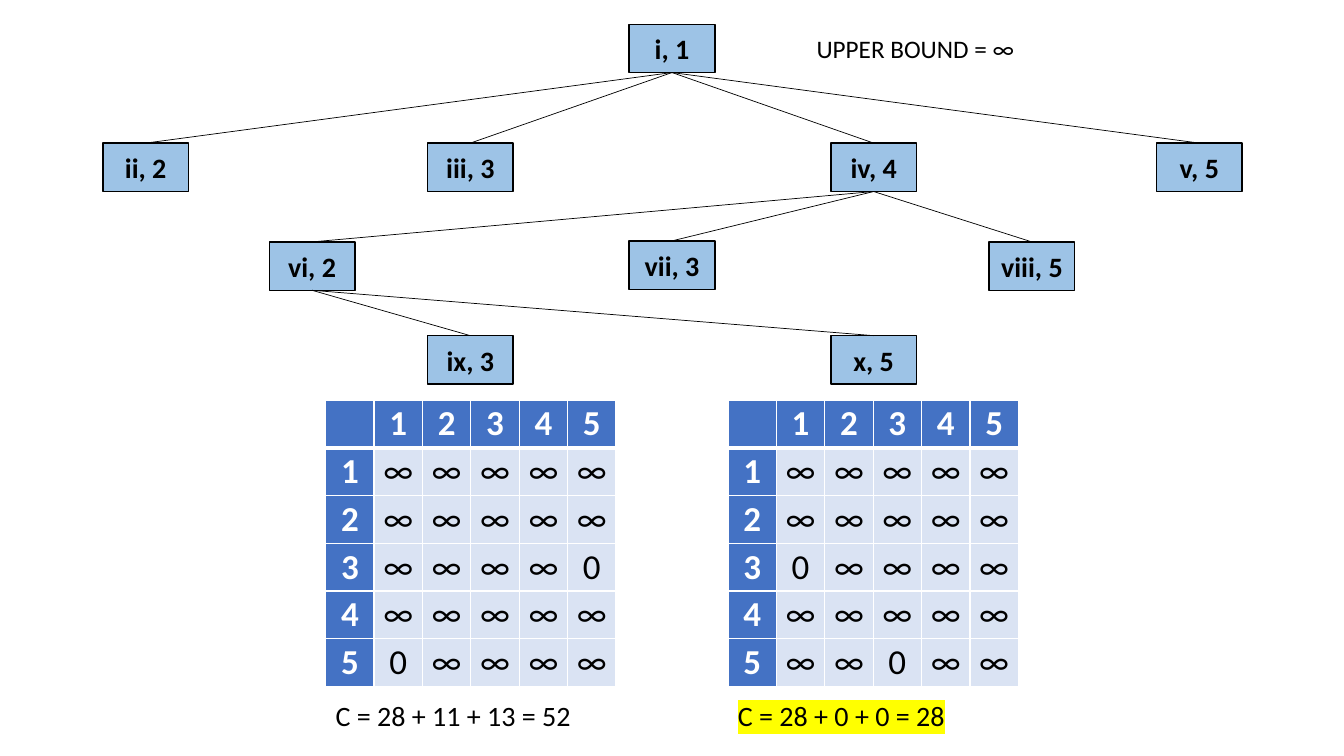
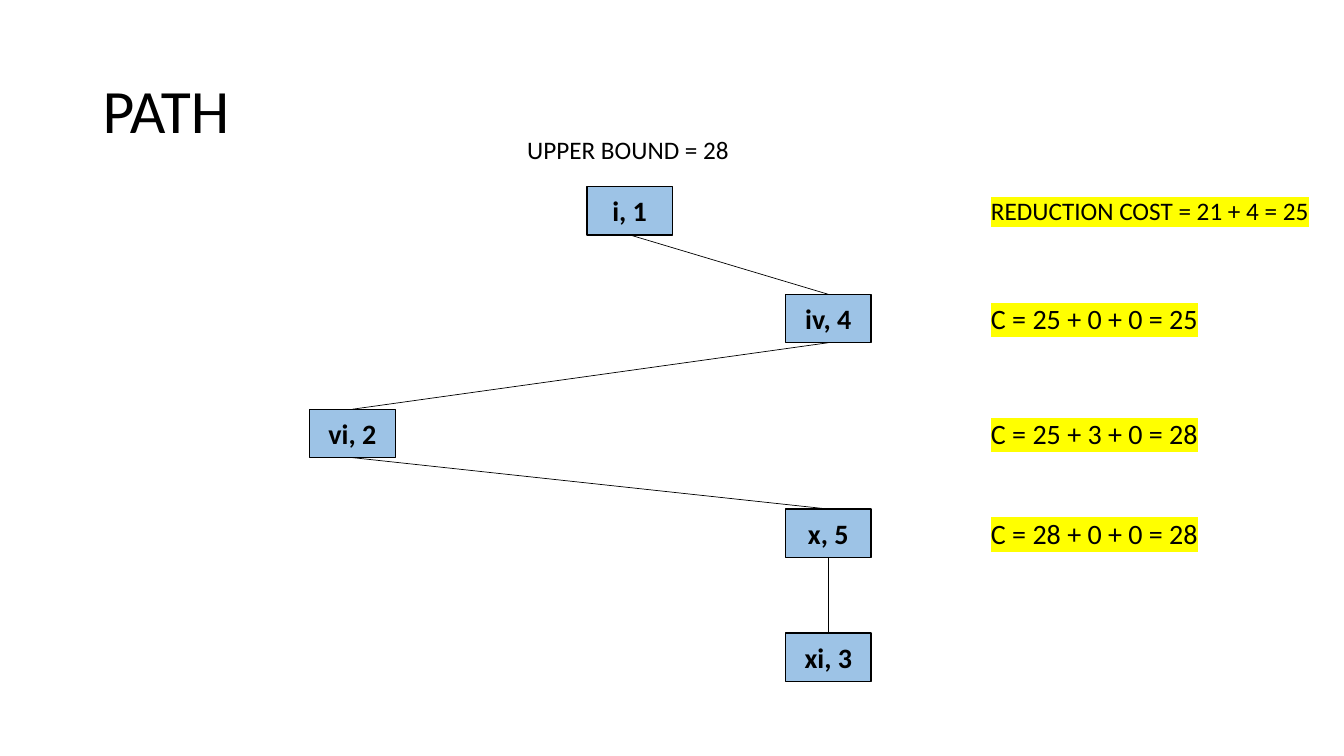
import pptx
import pptx.dml.color
import pptx.enum.shapes
import pptx.enum.text
import pptx.oxml
import pptx.oxml.ns
import pptx.util
from pptx.util import Inches

BLACK, WHITE, YELLOW = "000000", "FFFFFF", "FFFF00"
NODE_BLUE, HEADER_BLUE, CELL_BLUE = "9DC3E6", "4472C4", "DAE3F3"
TOP_SITE, BOTTOM_SITE = 0, 2


def rgb(value):
    return pptx.dml.color.RGBColor.from_string(value)


def element(tag, body="", attributes=""):
    namespace = pptx.oxml.ns.nsdecls("a")
    return pptx.oxml.parse_xml(f"<a:{tag} {namespace} {attributes}>{body}</a:{tag}>")


class TreeDeck:
    """Holds the shared style and the slide being drawn."""

    font = "Calibri"
    node_size = Inches(0.85), Inches(0.48)
    matrix_size = 6

    def __init__(self):
        self.deck = pptx.Presentation()
        self.deck.slide_width = Inches(13.33)
        self.deck.slide_height = Inches(7.5)
        self.page = None

    def new_page(self):
        self.page = self.deck.slides.add_slide(self.deck.slide_layouts[6])

    def set_text(self, frame, text, size, color=BLACK, bold=False, centered=False, highlight=None):
        frame.text = text
        para = frame.paragraphs[0]
        align = pptx.enum.text.PP_ALIGN
        para.alignment = align.CENTER if centered else align.LEFT
        for span in para.runs:
            span.font.size = pptx.util.Pt(size)
            span.font.bold = bold
            span.font.name = self.font
            span.font.color.rgb = rgb(color)
            if highlight:
                fill = span.font._element.find(pptx.oxml.ns.qn("a:solidFill"))
                fill.addnext(element("highlight", f'<a:srgbClr val="{highlight}"/>'))

    def label(self, text, left, top, width, size=20, highlight=None):
        height = 0.44 if size == 20 else 0.4
        box = self.page.shapes.add_textbox(Inches(left), Inches(top), Inches(width), Inches(height))
        box.text_frame.word_wrap = True
        box.text_frame.auto_size = pptx.enum.text.MSO_AUTO_SIZE.SHAPE_TO_FIT_TEXT
        self.set_text(box.text_frame, text, size, highlight=highlight)

    def title(self, text):
        box = self.page.shapes.add_textbox(Inches(0.92), Inches(0.4), Inches(11.5), Inches(1.45))
        box.text_frame.word_wrap = True
        box.text_frame.vertical_anchor = pptx.enum.text.MSO_ANCHOR.MIDDLE
        self.set_text(box.text_frame, text, 44)
        box.text_frame.paragraphs[0].line_spacing = 0.9

    def node(self, text, left, top, parent=None):
        rectangle = pptx.enum.shapes.MSO_SHAPE.RECTANGLE
        box = self.page.shapes.add_shape(rectangle, Inches(left), Inches(top), *self.node_size)
        box.shadow.inherit = False
        box.fill.solid()
        box.fill.fore_color.rgb = rgb(NODE_BLUE)
        box.line.color.rgb = rgb(BLACK)
        box.line.width = pptx.util.Pt(1)
        box.text_frame.margin_left = box.text_frame.margin_right = Inches(0.05)
        self.set_text(box.text_frame, text, 20, bold=True, centered=True)
        if parent is not None:
            self.edge(parent, box)
        return box

    def edge(self, parent, child):
        straight = pptx.enum.shapes.MSO_CONNECTOR.STRAIGHT
        line = self.page.shapes.add_connector(straight, 0, 0, 0, 0)
        line.begin_connect(parent, BOTTOM_SITE)
        line.end_connect(child, TOP_SITE)
        line.line.color.rgb = rgb(BLACK)
        line.line.width = pptx.util.Pt(0.5)
        line._element.spPr.append(element("effectLst"))

    def borders(self, cell, row):
        widths = {"L": 1, "R": 1, "T": 3 if row == 1 else 1, "B": 3 if row == 0 else 1}
        properties = cell._tc.get_or_add_tcPr()
        for side, width in widths.items():
            body = f'<a:solidFill><a:srgbClr val="{WHITE}"/></a:solidFill>'
            properties.append(element(f"ln{side}", body, f'w="{pptx.util.Pt(width)}"'))

    def matrix(self, left, top, zeros):
        count = self.matrix_size
        table = self.page.shapes.add_table(
            count, count, Inches(left), Inches(top), Inches(2.88), Inches(2.84)).table
        table.horz_banding = False
        for row in range(count):
            for column in range(count):
                cell = table.cell(row, column)
                header = row == 0 or column == 0
                if header:
                    text = str(row + column) if row + column else ""
                else:
                    text = "0" if (row, column) in zeros else "∞"
                cell.margin_left = cell.margin_right = cell.margin_top = cell.margin_bottom = 0
                cell.vertical_anchor = pptx.enum.text.MSO_ANCHOR.MIDDLE
                self.borders(cell, row)
                cell.fill.solid()
                cell.fill.fore_color.rgb = rgb(HEADER_BLUE if header else CELL_BLUE)
                self.set_text(cell.text_frame, text, 25, WHITE if header else BLACK, header, True)


def draw_search_tree(tree):
    tree.new_page()
    root = tree.node("i, 1", 6.24, 0.24)
    for text, left in (("ii, 2", 1.02), ("iii, 3", 4.24), ("v, 5", 11.47)):
        tree.node(text, left, 1.42, root)
    fourth = tree.node("iv, 4", 8.24, 1.42, root)
    sixth = tree.node("vi, 2", 2.67, 2.4, fourth)
    tree.node("vii, 3", 6.24, 2.39, fourth)
    tree.node("viii, 5", 9.81, 2.4, fourth)
    tree.node("ix, 3", 4.24, 3.33, sixth)
    tree.node("x, 5", 8.24, 3.33, sixth)
    for left, zeros, cost, highlight in (
        (3.23, {(3, 5), (5, 1)}, "C = 28 + 11 + 13 = 52", None),
        (7.22, {(3, 1), (5, 3)}, "C = 28 + 0 + 0 = 28", YELLOW),
    ):
        tree.matrix(left, 3.97, zeros)
        tree.label(cost, left, 6.88, 2.88, highlight=highlight)
    tree.label("UPPER BOUND = ∞", 8, 0.28, 2.19, 18)


def draw_path(tree):
    tree.new_page()
    tree.title("PATH")
    parent = None
    for text, left, top in (
        ("i, 1", 5.82, 1.85),
        ("iv, 4", 7.79, 2.92),
        ("vi, 2", 3.07, 4.06),
        ("x, 5", 7.79, 5.05),
        ("xi, 3", 7.79, 6.28),
    ):
        parent = tree.node(text, left, top, parent)
    tree.label("REDUCTION COST = 21 + 4 = 25", 9.73, 1.89, 3.6, 18, YELLOW)
    for text, top in (
        ("C = 25 + 0 + 0 = 25", 2.94),
        ("C = 25 + 3 + 0 = 28", 4.08),
        ("C = 28 + 0 + 0 = 28", 5.07),
    ):
        tree.label(text, 9.73, top, 2.88, highlight=YELLOW)
    tree.label("UPPER BOUND = 28", 5.13, 1.28, 2.22, 18)


def main():
    tree = TreeDeck()
    draw_search_tree(tree)
    draw_path(tree)
    tree.deck.save("out.pptx")


if __name__ == "__main__":
    main()
